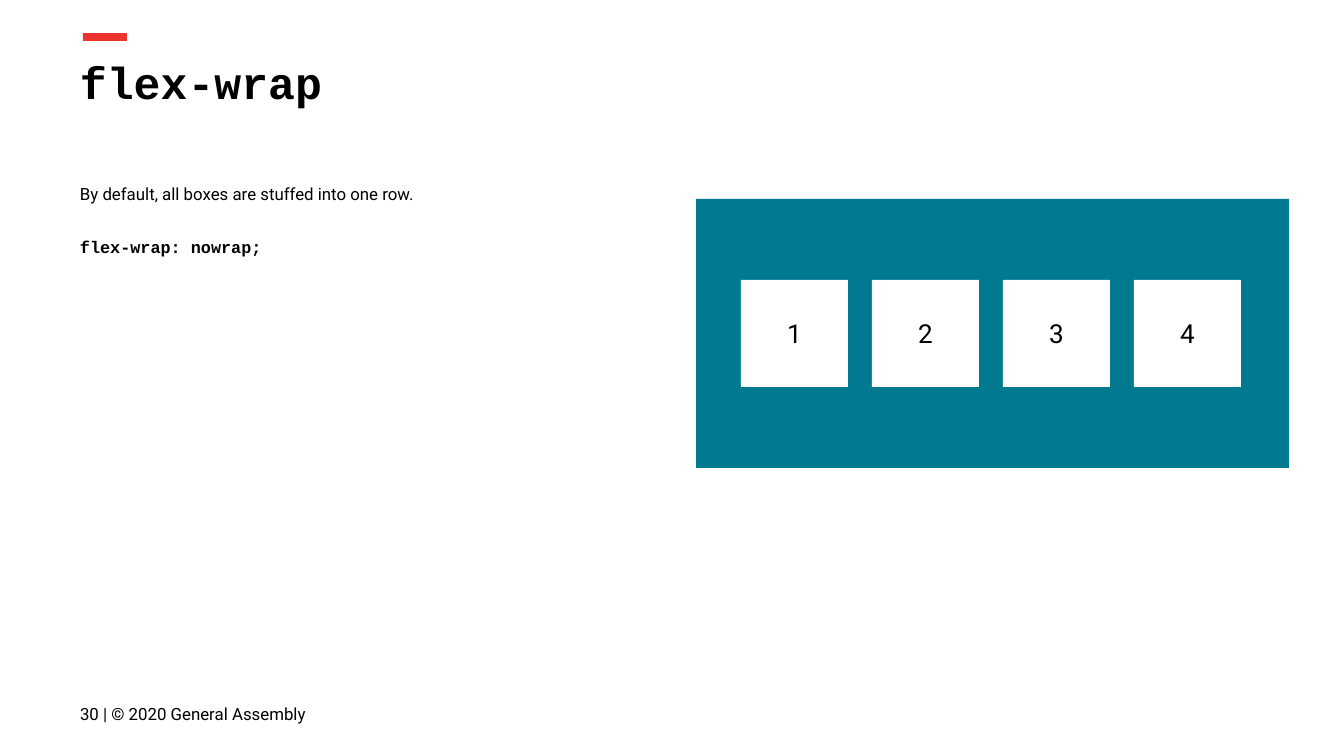
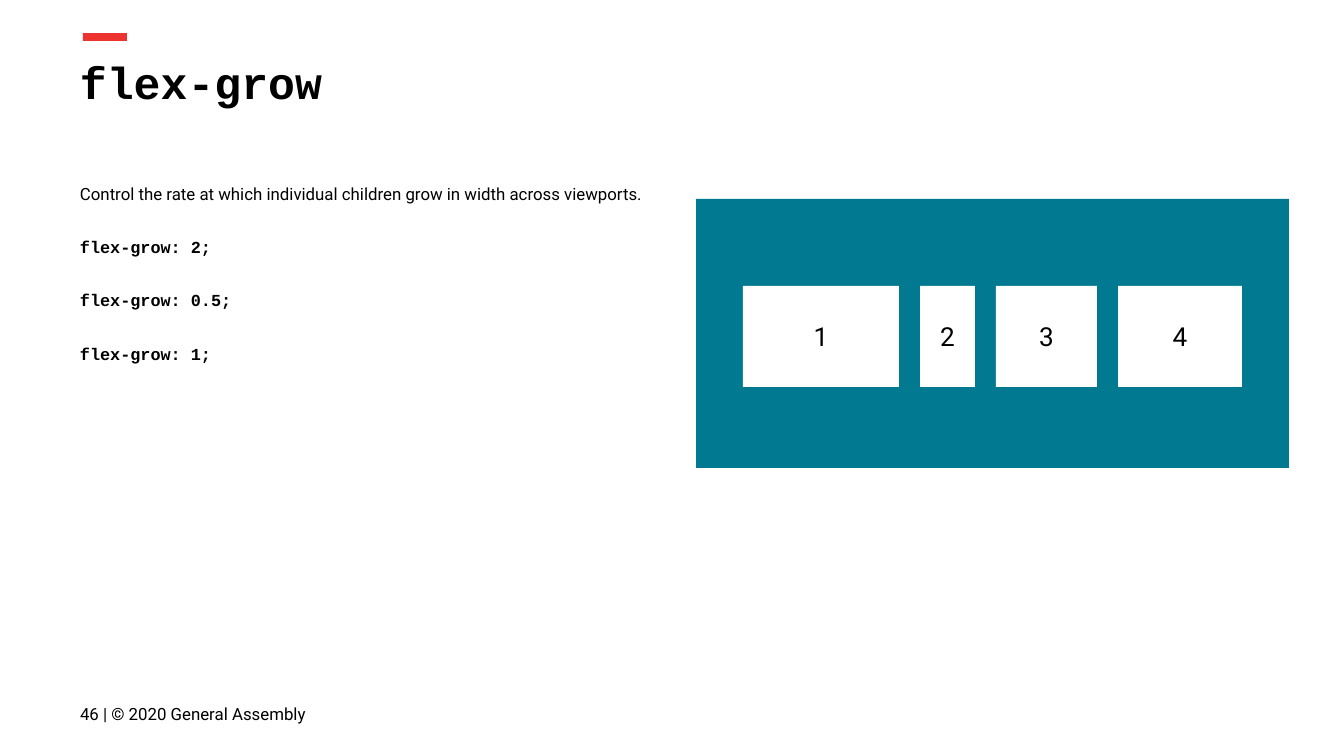
from pptx import Presentation
from pptx.dml.color import RGBColor
from pptx.enum.shapes import MSO_SHAPE
from pptx.enum.text import MSO_ANCHOR, PP_ALIGN
from pptx.util import Pt

RECTANGLE = MSO_SHAPE.RECTANGLE
TOP, MIDDLE = MSO_ANCHOR.TOP, MSO_ANCHOR.MIDDLE
LEFT, CENTER = PP_ALIGN.LEFT, PP_ALIGN.CENTER

PX = 914400 / 134.4
COLORS = {"accent": "ED332F", "panel": "017991", "box": "FFFFFF", "text": "000000"}
SANS, MONO = "Roboto", "Courier New"
INSET = 13
TEXT_LEFT = 67


def px(length):
    return round(length * PX)


class Deck:
    def __init__(self, width, height):
        self.presentation = Presentation()
        self.presentation.slide_width = px(width)
        self.presentation.slide_height = px(height)
        self.slide = None

    def add_slide(self, title, number):
        self.slide = self.presentation.slides.add_slide(self.presentation.slide_layouts[6])
        self.rectangle(83, 33, 44, 8, "accent")
        self.text(42, 1253, 85, title, 24, MONO, bold=True)
        self.text(685, 348, 58, f"{number} | © 2020 General Assembly", 9, anchor=MIDDLE)

    def set_frame(self, frame, anchor):
        frame.word_wrap = True
        frame.vertical_anchor = anchor
        frame.margin_left = frame.margin_right = px(INSET)
        frame.margin_top = frame.margin_bottom = px(INSET)

    def set_paragraph(self, paragraph, text, size, font=SANS, bold=False, align=LEFT):
        paragraph.text = text
        paragraph.alignment = align
        paragraph.font.size = Pt(size)
        paragraph.font.name = font
        paragraph.font.bold = bold
        paragraph.font.color.rgb = RGBColor.from_string(COLORS["text"])

    def text_box(self, top, width, height, anchor=TOP):
        shape = self.slide.shapes.add_textbox(px(TEXT_LEFT), px(top), px(width), px(height))
        self.set_frame(shape.text_frame, anchor)
        return shape.text_frame

    def text(self, top, width, height, text, size, font=SANS, bold=False, anchor=TOP):
        frame = self.text_box(top, width, height, anchor)
        self.set_paragraph(frame.paragraphs[0], text, size, font, bold)

    def body(self, description, declarations):
        frame = self.text_box(168, 605, 431)
        self.set_paragraph(frame.paragraphs[0], description, 9)
        for declaration in declarations:
            paragraph = frame.add_paragraph()
            self.set_paragraph(paragraph, declaration, 9, MONO, bold=True)
            paragraph.space_before = Pt(16)
        paragraph.space_after = Pt(16)
        for paragraph in frame.paragraphs:
            paragraph.line_spacing = 1.15

    def rectangle(self, left, top, width, height, color):
        shape = self.slide.shapes.add_shape(RECTANGLE, px(left), px(top), px(width), px(height))
        shape.shadow.inherit = False
        shape.fill.solid()
        shape.fill.fore_color.rgb = RGBColor.from_string(COLORS[color])
        shape.line.fill.background()
        return shape

    def flex_container(self, left, top, height, widths, gap):
        self.rectangle(696, 199, 593, 269, "panel")
        for number, width in enumerate(widths, 1):
            frame = self.rectangle(left, top, width, height, "box").text_frame
            self.set_frame(frame, MIDDLE)
            self.set_paragraph(frame.paragraphs[0], str(number), 14, align=CENTER)
            left += width + gap


def main():
    deck = Deck(1344, 756)

    deck.add_slide("flex-wrap", 30)
    deck.body("By default, all boxes are stuffed into one row.", ["flex-wrap: nowrap;"])
    deck.flex_container(741, 280, 107, [107] * 4, 24)

    deck.add_slide("flex-grow", 46)
    deck.body(
        "Control the rate at which individual children grow in width across viewports.",
        [f"flex-grow: {rate};" for rate in ("2", "0.5", "1")],
    )
    deck.flex_container(743, 286, 101, [156, 55, 101, 124], 21)

    deck.presentation.save("out.pptx")


if __name__ == "__main__":
    main()
